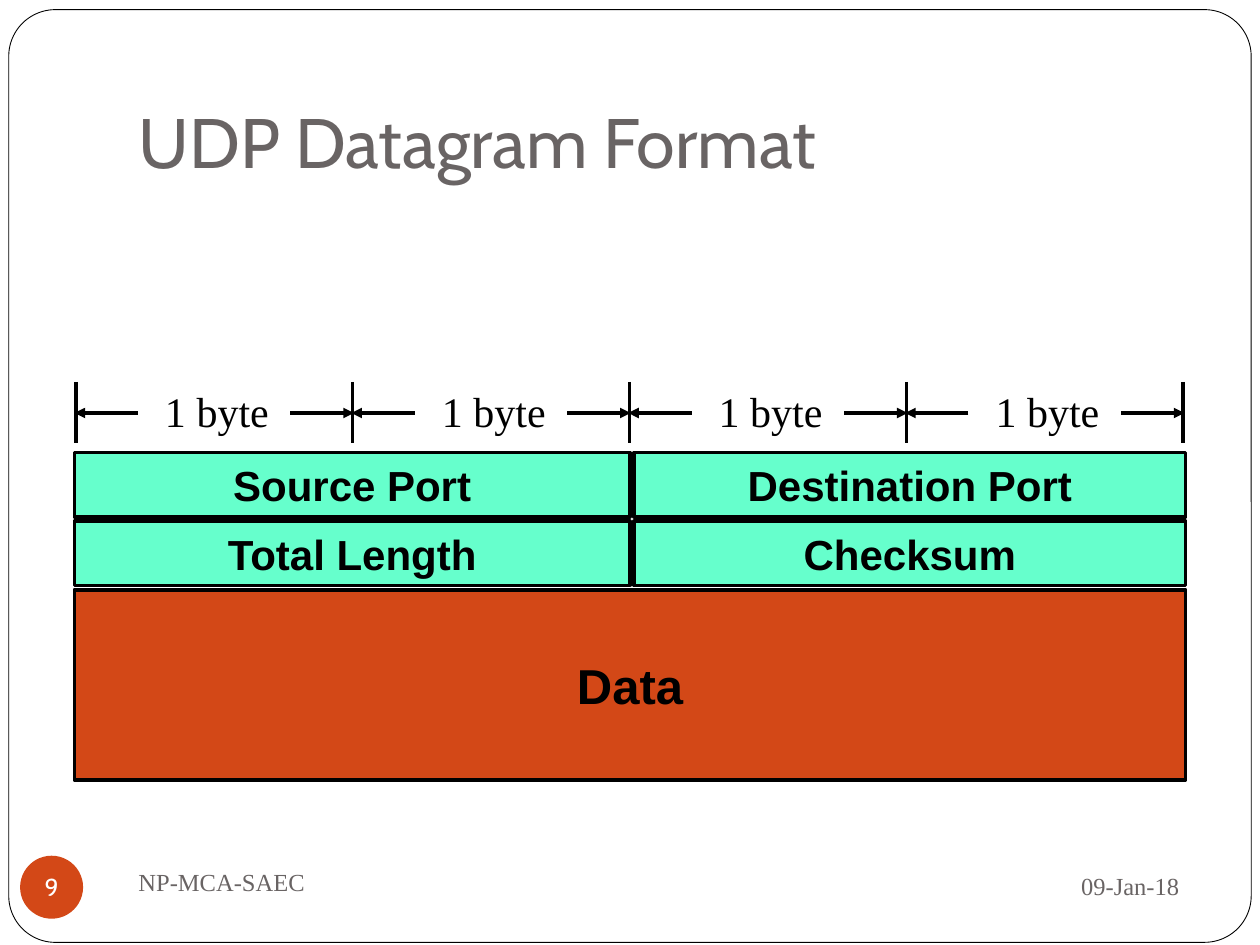
from pptx import Presentation
from pptx.dml.color import RGBColor
from pptx.enum.shapes import MSO_CONNECTOR, MSO_SHAPE
from pptx.enum.text import MSO_ANCHOR, MSO_AUTO_SIZE, PP_ALIGN
from pptx.oxml.ns import qn
from pptx.util import Pt
from lxml.etree import SubElement

BLACK = RGBColor(0x00, 0x00, 0x00)
WHITE = RGBColor(0xFF, 0xFF, 0xFF)
GRAY = RGBColor(0x69, 0x64, 0x64)
MINT = RGBColor(0x66, 0xFF, 0xCC)
ORANGE = RGBColor(0xD3, 0x48, 0x17)


class SlideBuilder:
    HEADING, SERIF, SANS = "Cabin", "Times New Roman", "Arial"
    LINE = 2

    def __init__(self, prs):
        self.s = prs.slides.add_slide(prs.slide_layouts[5])

    def label(self, sp, text, size, font, color, bold=False,
              align=PP_ALIGN.LEFT, anchor=MSO_ANCHOR.MIDDLE, wrap=True,
              insets=(7.2, 3.6, 7.2, 3.6)):
        tf = sp.text_frame
        left, top, right, bottom = map(Pt, insets)
        frame = {"auto_size": MSO_AUTO_SIZE.NONE, "word_wrap": wrap,
                 "vertical_anchor": anchor, "margin_left": left,
                 "margin_top": top, "margin_right": right,
                 "margin_bottom": bottom}
        for name, value in frame.items():
            setattr(tf, name, value)
        p = tf.paragraphs[0]
        p.alignment = align
        r = p.add_run()
        r.text = text
        for name, value in {"size": Pt(size), "name": font, "bold": bold}.items():
            setattr(r.font, name, value)
        r.font.color.rgb = color

    def title(self, text, box):
        sp = self.s.shapes.title
        sp.left, sp.top, sp.width, sp.height = map(Pt, box)
        self.label(sp, text, 40, self.HEADING, GRAY, anchor=MSO_ANCHOR.BOTTOM,
                   insets=(7.2, 3.6, 7.2, 7.2))

    def text(self, text, box, size, color, **style):
        sp = self.s.shapes.add_textbox(*map(Pt, box))
        self.label(sp, text, size, self.SERIF, color, **style)

    def shape(self, kind, box, fill=None, line=None):
        sp = self.s.shapes.add_shape(kind, *map(Pt, box))
        sp.shadow.inherit = False
        if fill is None:
            sp.fill.background()
        else:
            sp.fill.solid()
            sp.fill.fore_color.rgb = fill
        if line is None:
            sp.line.fill.background()
        else:
            sp.line.color.rgb = BLACK
            sp.line.width = Pt(line)
        return sp

    def field(self, text, box, fill=MINT, size=24):
        sp = self.shape(MSO_SHAPE.RECTANGLE, box, fill, self.LINE)
        self.label(sp, text, size, self.SANS, BLACK, bold=True,
                   align=PP_ALIGN.CENTER, wrap=False)

    def line(self, x1, y1, x2, y2, arrow=False):
        c = self.s.shapes.add_connector(MSO_CONNECTOR.STRAIGHT,
                                        *map(Pt, (x1, y1, x2, y2)))
        c.line.color.rgb = BLACK
        c.line.width = Pt(self.LINE)
        sp_pr = c._element.spPr
        if arrow:
            SubElement(sp_pr.find(qn("a:ln")), qn("a:tailEnd"), type="triangle")
        SubElement(sp_pr, qn("a:effectLst"))


def main():
    prs = Presentation()
    prs.slide_width, prs.slide_height = Pt(720), Pt(540)
    b = SlideBuilder(prs)

    # Frame and title
    frame = b.shape(MSO_SHAPE.ROUNDED_RECTANGLE, (5, 5.5, 710, 533), line=0.5)
    frame.adjustments[0] = 0.05
    b.title("UDP Datagram Format", (72, 21.6, 612, 90))

    # Date, footer and slide number
    b.text("09-Jan-18", (486, 487.5, 195, 37.5), 14, GRAY, align=PP_ALIGN.RIGHT)
    b.text("NP-MCA-SAEC", (72, 486, 312, 36), 14, GRAY)
    badge = b.shape(MSO_SHAPE.OVAL, (11.5, 489, 36, 36), ORANGE)
    b.label(badge, "9", 14, b.HEADING, WHITE, align=PP_ALIGN.CENTER,
            wrap=False, insets=(0, 0, 0, 0))

    # Header fields, two per row, above the data field
    columns = ((42.5, 317.5), (362.3, 315.2))
    rows = (("Source Port", "Destination Port"), ("Total Length", "Checksum"))
    for i, row in enumerate(rows):
        for name, (x, width) in zip(row, columns):
            b.field(name, (x, 258.6 + 39.2 * i, width, 36.7))
    b.field("Data", (42.5, 337, 635, 108.7), ORANGE, 28)

    # Byte ruler: ticks, with a label between two outward arrows
    left, step, count = 43.3, 158.2, 4
    top, mid, bottom = 218.2, 236, 253
    arrow, overshoot = 35.5, 0.7
    for i in range(count + 1):
        x = left + step * i
        b.line(x, top, x, bottom)
    for i in range(count):
        start, end = left + step * i, left + step * (i + 1)
        b.line(start + arrow, mid, start - overshoot, mid, arrow=True)
        b.line(end - arrow, mid, end + overshoot, mid, arrow=True)
        b.text("1 byte", (start + 43.9, 216.8, 73.5, 36), 24, BLACK,
               anchor=MSO_ANCHOR.TOP, wrap=False)

    prs.save("out.pptx")


if __name__ == "__main__":
    main()
